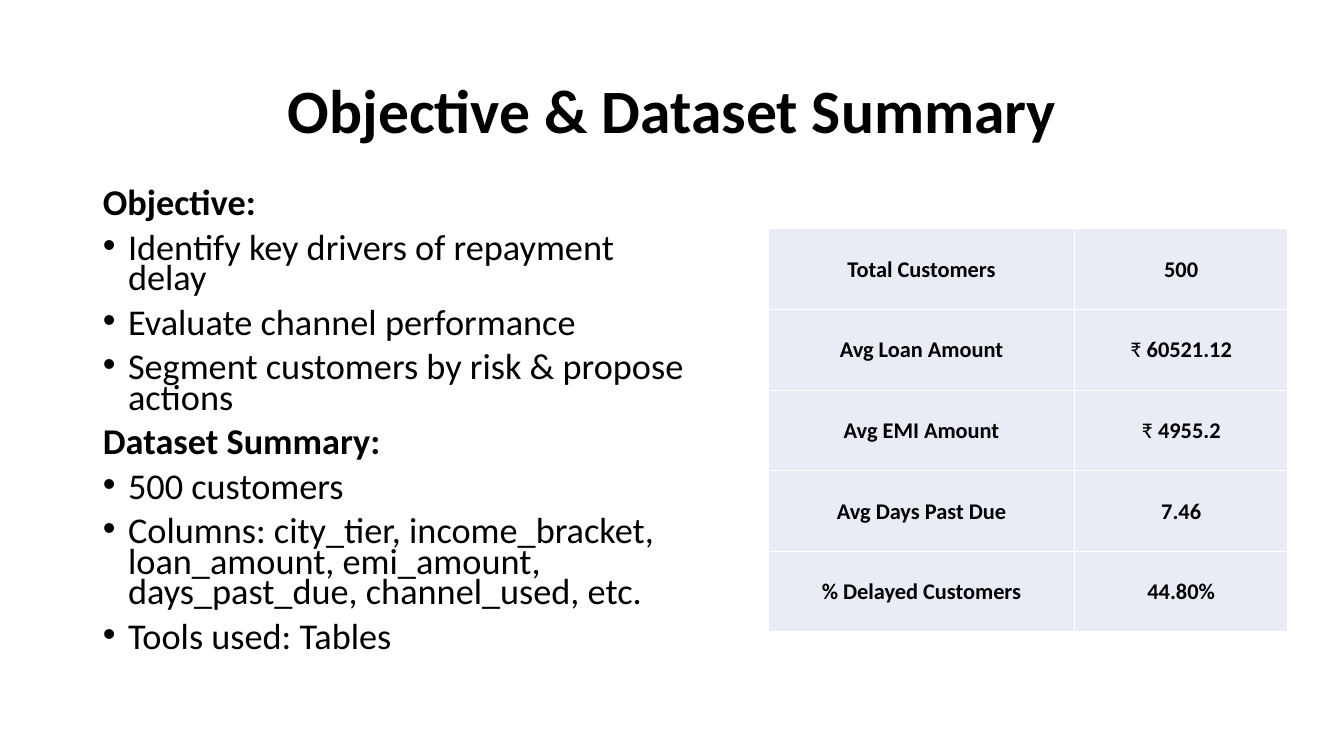
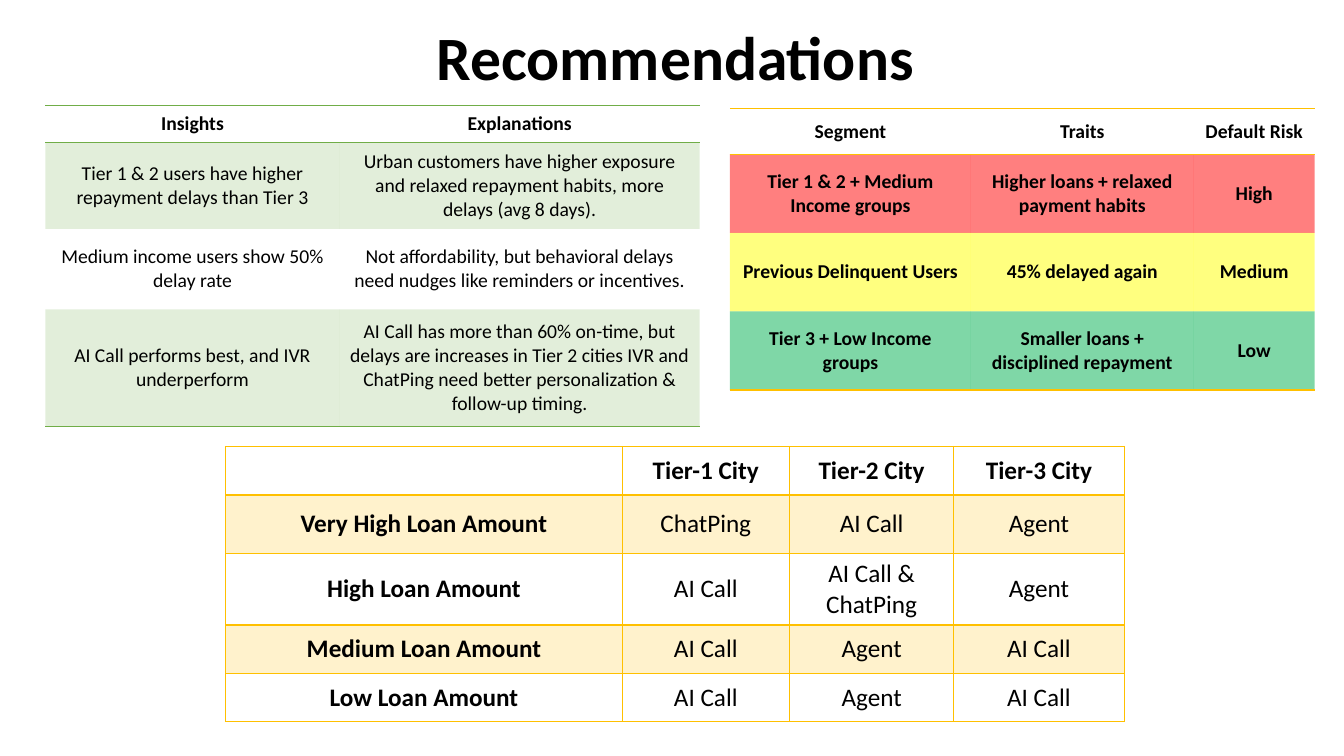
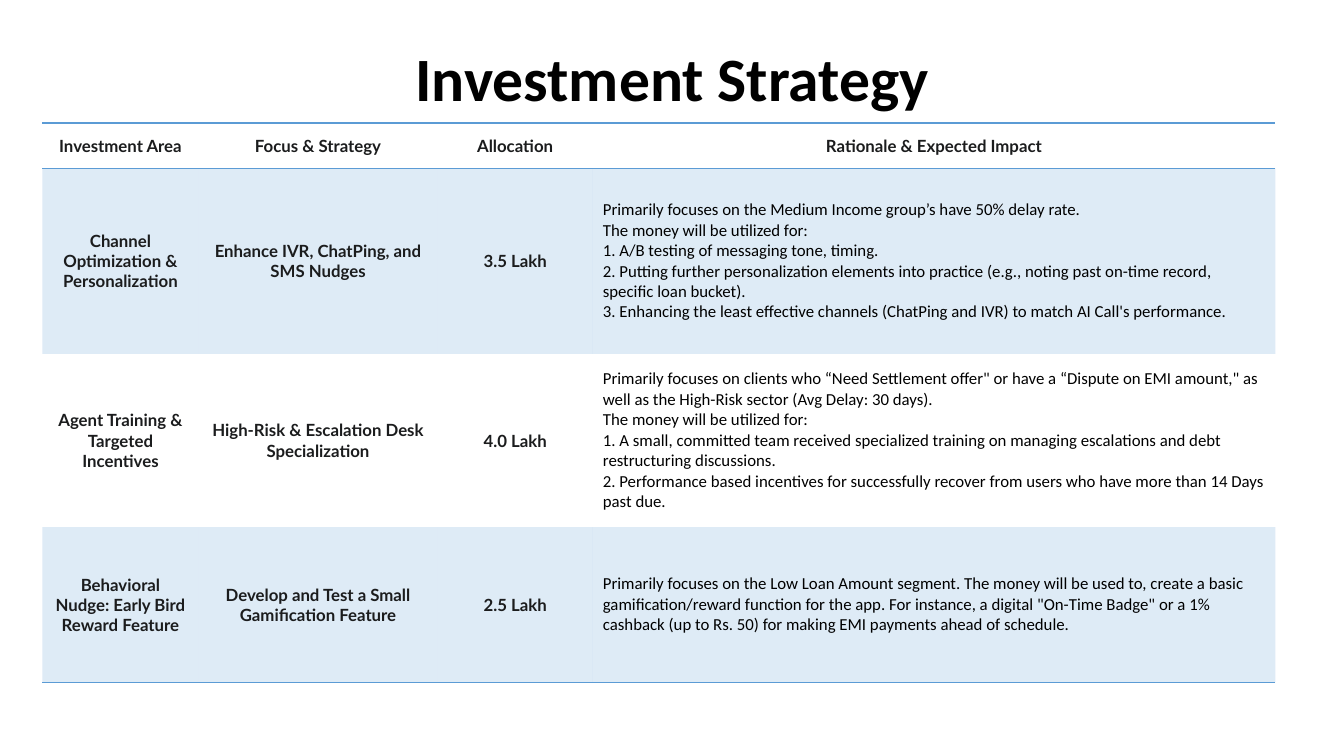
"""Build a three-slide deck on loan repayment delays."""
from lxml import etree
from pptx import Presentation
from pptx.dml.color import RGBColor
from pptx.enum.text import MSO_ANCHOR, MSO_AUTO_SIZE, PP_ALIGN
from pptx.oxml.ns import qn
from pptx.util import Inches, Pt

LEFT, CENTER = PP_ALIGN.LEFT, PP_ALIGN.CENTER
TOP, MIDDLE = MSO_ANCHOR.TOP, MSO_ANCHOR.MIDDLE
NO_FIT = MSO_AUTO_SIZE.NONE

COLORS = {
    "text": "000000", "ink": "1B1C1D", "white": "FFFFFF", "lavender": "E9EBF5",
    "green": "70AD47", "gold": "FFC000", "blue": "5B9BD5",
    "high": "FF0000", "medium": "FFFF00", "low": "00B050",
}
FONT = "Calibri"
TITLE_LAYOUT, CONTENT_LAYOUT = 5, 1
PLAIN_STYLE = "{2D5ABB26-0587-4C30-8999-92F81FD0307C}"

OUTLINE = [
    ("Objective:", [
        "Identify key drivers of repayment delay",
        "Evaluate channel performance",
        "Segment customers by risk & propose actions",
    ]),
    ("Dataset Summary:", [
        "500 customers",
        "Columns: city_tier, income_bracket, loan_amount, emi_amount, "
        "days_past_due, channel_used, etc.",
        "Tools used: Tables",
    ]),
]

SUMMARY = {
    "at": (7.62, 2.27), "cols": [3.04, 2.11], "rows": [0.8] * 5, "size": 16,
    "margins": (0.01, 0.01, 0.01, 0), "bold_columns": {0, 1},
    "line": "white", "grid": True, "header_line": 1,
    "fills": [("lavender", 100)] * 5,
    "cells": [
        ["Total Customers", "500"],
        ["Avg Loan Amount", "₹ 60521.12"],
        ["Avg EMI Amount", "₹ 4955.2"],
        ["Avg Days Past Due", "7.46"],
        ["% Delayed Customers", "44.80%"],
    ],
}

INSIGHTS = {
    "at": (0.45, 1.05), "cols": [2.92, 3.57], "rows": [0.36, 0.86, 0.8, 1.16], "size": 14,
    "bold_columns": set(), "line": "green",
    "fills": [None, ("green", 20), None, ("green", 20)],
    "cells": [
        ["Insights", "Explanations"],
        ["Tier 1 & 2 users have higher repayment delays than Tier 3",
         "Urban customers have higher exposure and relaxed repayment habits, "
         "more delays (avg 8 days)."],
        ["Medium income users show 50% delay rate",
         "Not affordability, but behavioral delays need nudges like reminders or incentives."],
        ["AI Call performs best, and IVR underperform",
         "AI Call has more than 60% on-time, but delays are increases in Tier 2 cities IVR and "
         "ChatPing need better personalization & follow-up timing."],
    ],
}

SEGMENTS = {
    "at": (7.24, 1.08), "cols": [2.39, 2.21, 1.2], "rows": [0.45] + [0.78] * 3, "size": 14,
    "bold_columns": {0, 1, 2}, "line": "gold",
    "fills": [None, ("high", 50), ("medium", 50), ("low", 50)],
    "cells": [
        ["Segment", "Traits", "Default Risk"],
        ["Tier 1 & 2 + Medium Income groups", "Higher loans + relaxed payment habits", "High"],
        ["Previous Delinquent Users", "45% delayed again", "Medium"],
        ["Tier 3 + Low Income groups", "Smaller loans + disciplined repayment", "Low"],
    ],
}

CHANNELS = {
    "at": (2.24, 4.43), "cols": [3.93, 1.66, 1.63, 1.69],
    "rows": [0.48, 0.58, 0.48, 0.48, 0.48], "size": 18,
    "bold_columns": {0}, "line": "gold", "grid": True, "header_line": 2,
    "fills": [None, ("gold", 20), None, ("gold", 20), None],
    "cells": [
        ["", "Tier-1 City", "Tier-2 City", "Tier-3 City"],
        ["Very High Loan Amount", "ChatPing", "AI Call", "Agent"],
        ["High Loan Amount", "AI Call", "AI Call & ChatPing", "Agent"],
        ["Medium Loan Amount", "AI Call", "Agent", "AI Call"],
        ["Low Loan Amount", "AI Call", "Agent", "AI Call"],
    ],
}

INVESTMENT = {
    "at": (0.42, 1.22), "cols": [1.55, 2.37, 1.54, 6.77],
    "rows": [0.45, 1.84, 1.72, 1.54], "size": 12,
    "margins": (0.1, 0.07, 0.1, 0.07), "font": "Lato", "color": "ink",
    "bold_columns": {0, 1, 2}, "prose_column": 3, "line": "blue",
    "fills": [None, ("blue", 20), None, ("blue", 20)],
    "cells": [
        ["Investment Area", "Focus & Strategy", "Allocation", "Rationale & Expected Impact"],
        ["Channel Optimization & Personalization", "Enhance IVR, ChatPing, and SMS Nudges",
         "3.5 Lakh",
         "Primarily focuses on the Medium Income group’s have 50% delay rate.\n"
         "The money will be utilized for:\n"
         "1. A/B testing of messaging tone, timing.\n"
         "2. Putting further personalization elements into practice "
         "(e.g., noting past on-time record, specific loan bucket).\n"
         "3. Enhancing the least effective channels (ChatPing and IVR) "
         "to match AI Call's performance."],
        ["Agent Training & Targeted Incentives", "High-Risk & Escalation Desk Specialization",
         "4.0 Lakh",
         "Primarily focuses on clients who “Need Settlement offer\" or have a "
         "“Dispute on EMI amount,\" as well as the High-Risk sector (Avg Delay: 30 days).\n"
         "The money will be utilized for:\n"
         "1. A small, committed team received specialized training on managing escalations "
         "and debt restructuring discussions.\n"
         "2. Performance based incentives for successfully recover from users who have "
         "more than 14 Days past due."],
        ["Behavioral Nudge: Early Bird Reward Feature",
         "Develop and Test a Small Gamification Feature", "2.5 Lakh",
         "Primarily focuses on the Low Loan Amount segment. The money will be used to, create "
         "a basic gamification/reward function for the app. For instance, a digital "
         "\"On-Time Badge\" or a 1% cashback (up to Rs. 50) for making EMI payments ahead "
         "of schedule."],
    ],
}

SLIDES = [
    {"title": "Objective & Dataset Summary", "at": (0.92, 0.4, 11.5, 1.45), "align": CENTER,
     "outline": OUTLINE, "tables": [SUMMARY]},
    {"title": "Recommendations", "at": (4.23, 0.13, 5.8, 0.95), "align": LEFT,
     "tables": [INSIGHTS, SEGMENTS, CHANNELS]},
    {"title": "Investment Strategy", "at": (0.92, 0.4, 11.5, 0.82), "align": CENTER,
     "tables": [INVESTMENT]},
]


def place(shape, at):
    shape.left, shape.top, shape.width, shape.height = [Inches(value) for value in at]


def add_span(para, text, size, bold, font=FONT, color="text"):
    span = para.add_run()
    span.text = text
    span.font.name = font
    span.font.size = Pt(size)
    span.font.bold = bold
    span.font.color.rgb = RGBColor.from_string(COLORS[color])


def prepare_frame(shape, anchor):
    frame = shape.text_frame
    frame.word_wrap = True
    frame.auto_size = NO_FIT
    frame.vertical_anchor = anchor
    return frame


def set_title(slide, text, at, align):
    place(slide.shapes.title, at)
    para = prepare_frame(slide.shapes.title, MIDDLE).paragraphs[0]
    para.alignment = align
    para.line_spacing = 0.9
    add_span(para, text, 44, True)


def set_bullet(para, bulleted):
    props = para._p.get_or_add_pPr()
    indent = Inches(0.25) if bulleted else 0
    props.set("marL", str(indent))
    props.set("indent", str(-indent))
    if bulleted:
        etree.SubElement(props, qn("a:buFont"), typeface="Arial")
        etree.SubElement(props, qn("a:buChar"), char="•")
    else:
        etree.SubElement(props, qn("a:buNone"))


def fill_outline(body, outline):
    place(body, (0.92, 1.85, 6, 5.19))
    frame = prepare_frame(body, TOP)
    lines = []
    for heading, points in outline:
        lines.append((heading, False))
        lines.extend((point, True) for point in points)
    for index, (text, bulleted) in enumerate(lines):
        para = frame.add_paragraph() if index else frame.paragraphs[0]
        para.alignment = LEFT
        para.line_spacing = 0.7
        para.space_before, para.space_after = Pt(10), Pt(0)
        set_bullet(para, bulleted)
        add_span(para, text, 25.9, not bulleted)


def border_widths(spec, row):
    """Return the line width for each drawn side of a cell in this row."""
    last = row == len(spec["rows"]) - 1
    if spec.get("grid"):
        return {"L": 1, "R": 1, "T": spec["header_line"] if row == 1 else 1,
                "B": spec["header_line"] if row == 0 else 1}
    if row == 0:
        return {"T": 1, "B": 1}
    return {"B": 1} if last else {}


def set_borders(cell, widths, color):
    props = cell._tc.get_or_add_tcPr()
    for side in "LRTB":
        if side in widths:
            line = etree.SubElement(props, qn("a:ln" + side), w=str(Pt(widths[side])))
            solid = etree.SubElement(line, qn("a:solidFill"))
            etree.SubElement(solid, qn("a:srgbClr"), val=COLORS[color])


def set_fill(cell, fill):
    if fill is None:
        cell.fill.background()
        return
    color, opacity = fill
    cell.fill.solid()
    cell.fill.fore_color.rgb = RGBColor.from_string(COLORS[color])
    if opacity < 100:
        tint = cell._tc.tcPr.find(qn("a:solidFill")).find(qn("a:srgbClr"))
        etree.SubElement(tint, qn("a:alpha"), val=str(opacity * 1000))


def write_cell(cell, text, spec, row, column):
    margins = [Inches(value) for value in spec.get("margins", (0.1, 0.05, 0.1, 0.05))]
    cell.margin_left, cell.margin_top, cell.margin_right, cell.margin_bottom = margins
    cell.vertical_anchor = MIDDLE
    prose = row > 0 and column == spec.get("prose_column")
    font = FONT if prose else spec.get("font", FONT)
    color = "text" if prose else spec.get("color", "text")
    bold = row == 0 or column in spec["bold_columns"]
    para = cell.text_frame.paragraphs[0]
    para.alignment = LEFT if prose else CENTER
    if text.startswith("₹ "):
        add_span(para, "₹ ", spec["size"], False, font, color)
        text = text[2:]
    for index, line in enumerate(text.split("\n") if text else []):
        if index:
            para.add_line_break()
        add_span(para, line, spec["size"], bold, font, color)


def add_grid(slide, spec):
    cols, rows = spec["cols"], spec["rows"]
    lengths = [Inches(value) for value in (*spec["at"], sum(cols), sum(rows))]
    frame = slide.shapes.add_table(len(rows), len(cols), *lengths)
    table = frame.table
    table.first_row = table.horz_banding = False
    next(frame.element.iter(qn("a:tableStyleId"))).text = PLAIN_STYLE
    for column, width in zip(table.columns, cols):
        column.width = Inches(width)
    for row, height in enumerate(rows):
        table.rows[row].height = Inches(height)
        for column, text in enumerate(spec["cells"][row]):
            cell = table.cell(row, column)
            write_cell(cell, text, spec, row, column)
            set_borders(cell, border_widths(spec, row), spec["line"])
            set_fill(cell, spec["fills"][row])


def main():
    deck = Presentation()
    deck.slide_width, deck.slide_height = Inches(13.33), Inches(7.5)
    for content in SLIDES:
        layout = CONTENT_LAYOUT if "outline" in content else TITLE_LAYOUT
        slide = deck.slides.add_slide(deck.slide_layouts[layout])
        set_title(slide, content["title"], content["at"], content["align"])
        if "outline" in content:
            fill_outline(slide.placeholders[1], content["outline"])
        for spec in content["tables"]:
            add_grid(slide, spec)
    deck.save("out.pptx")


if __name__ == "__main__":
    main()
